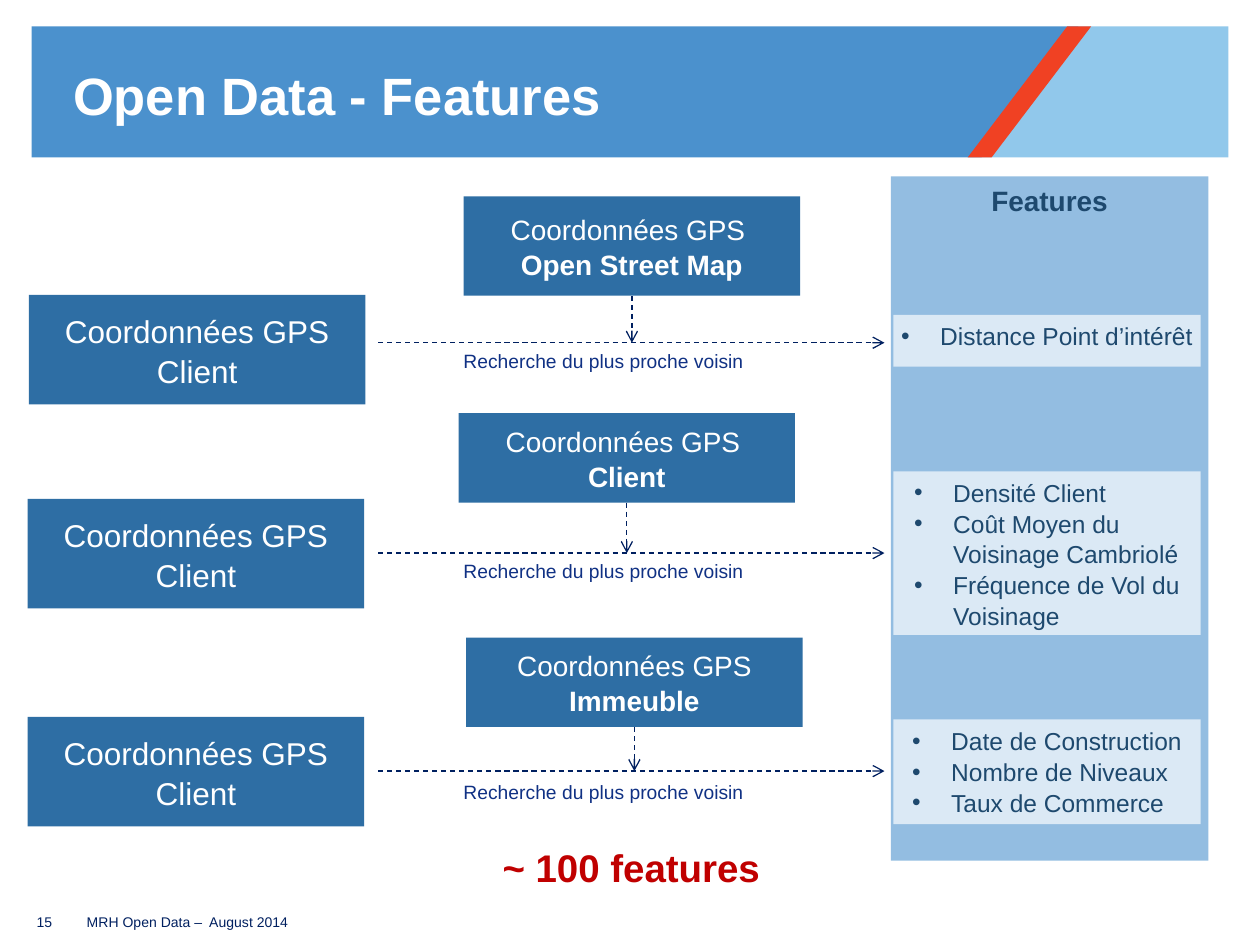
from dataclasses import dataclass

from lxml.etree import SubElement
from pptx import Presentation
from pptx.dml.color import RGBColor
from pptx.enum.dml import MSO_LINE
from pptx.enum.shapes import MSO_CONNECTOR as Connector, MSO_SHAPE as Shape
from pptx.enum.text import MSO_ANCHOR as Anchor, MSO_AUTO_SIZE as AutoSize, PP_ALIGN as Align
from pptx.oxml.ns import qn
from pptx.util import Inches, Pt

SLIDE_WIDTH, SLIDE_HEIGHT = Inches(10), Inches(7.5)
TITLE_ONLY = 5


@dataclass(frozen=True)
class Theme:
    font: str = "Arial"
    white: str = "FFFFFF"
    banner: str = "4B91CD"
    banner_tip: str = "91C8EB"
    stripe: str = "F04123"
    box: str = "2E6EA4"
    panel: str = "93BDE1"
    card: str = "DBE9F5"
    dark: str = "1E496E"
    navy: str = "002060"
    label: str = "103184"
    accent: str = "C00000"
    title_size: float = 30
    total_size: float = 22
    client_size: float = 18
    source_size: float = 16
    feature_size: float = 14
    label_size: float = 11
    footer_size: float = 8


@dataclass(frozen=True)
class Search:
    """One row of the diagram; lengths are percentages of the slide."""
    axis: float
    client: tuple
    source: tuple
    source_lines: list
    label_top: float
    card_top: float
    card_height: float
    features: list


THEME = Theme()
GPS = "Coordonnées GPS "
SEARCHES = [
    Search(36.27, (2.3, 31.2), (36.8, 20.8, 26.7, 10.5),
           [[(GPS, False)], [("Open Street Map", True)]],
           36.27, 33.33, 5.47, ["Distance Point d’intérêt"]),
    Search(58.53, (2.2, 52.8), (36.4, 43.73, 26.7, 9.47),
           [[(GPS, False)], [("Client", True)]],
           58.53, 49.87, 17.33,
           ["Densité Client", "Coût Moyen du Voisinage Cambriolé",
            "Fréquence de Vol du Voisinage"]),
    Search(81.6, (2.2, 75.87), (37, 67.47, 26.7, 9.47),
           [[(GPS, False), ("Immeuble", True)]],
           81.87, 76.13, 11.07,
           ["Date de Construction", "Nombre de Niveaux", "Taux de Commerce"]),
]


def across(share):
    return round(SLIDE_WIDTH * share / 100)


def down(share):
    return round(SLIDE_HEIGHT * share / 100)


def place(area):
    left, top, width, height = area
    return across(left), down(top), across(width), down(height)


def paint(shape, color):
    shape.shadow.inherit = False
    shape.fill.solid()
    shape.fill.fore_color.rgb = RGBColor.from_string(color)
    shape.line.fill.background()


def add_bullet(para):
    properties = para._p.get_or_add_pPr()
    properties.set("marL", str(Inches(0.31)))
    properties.set("indent", str(-Inches(0.31)))
    SubElement(properties, qn("a:buFont")).set("typeface", THEME.font)
    SubElement(properties, qn("a:buChar")).set("char", "•")


def write(frame, lines, size, color, align=Align.LEFT, bullets=False, spacing=None):
    """Fill a frame; each line is a list of (text, bold) runs."""
    frame.word_wrap = True
    for index, runs in enumerate(lines):
        para = frame.add_paragraph() if index else frame.paragraphs[0]
        para.alignment = align
        if spacing:
            para.line_spacing = spacing
        if bullets:
            add_bullet(para)
        for text, bold in runs:
            span = para.add_run()
            span.text = text
            span.font.name = THEME.font
            span.font.size = Pt(size)
            span.font.bold = bold
            span.font.color.rgb = RGBColor.from_string(color)


def set_insets(frame, inset):
    frame.margin_left = frame.margin_right = Inches(inset)
    frame.margin_top = frame.margin_bottom = Inches(inset)


def add_box(page, area, fill, lines, size, color, anchor=Anchor.MIDDLE,
            align=Align.CENTER, bullets=False):
    box = page.shapes.add_shape(Shape.RECTANGLE, *place(area))
    paint(box, fill)
    frame = box.text_frame
    set_insets(frame, 0.04)
    frame.vertical_anchor = anchor
    write(frame, lines, size, color, align, bullets, spacing=1.05)
    return box


def add_card(page, area, features):
    """Bullet list whose text block is centred as a whole."""
    lines = [[(feature, False)] for feature in features]
    card = add_box(page, area, THEME.card, lines, THEME.feature_size, THEME.dark,
                   Anchor.TOP, Align.LEFT, bullets=True)
    card.text_frame._txBody.bodyPr.set("anchorCtr", "1")


def add_label(page, area, text, size, color, bold=False, align=Align.LEFT, side=0.1):
    frame = page.shapes.add_textbox(*place(area)).text_frame
    frame.margin_left = frame.margin_right = Inches(side)
    write(frame, [[(text, bold)]], size, color, align)


def add_arrow(page, start, end):
    arrow = page.shapes.add_connector(
        Connector.STRAIGHT, across(start[0]), down(start[1]), across(end[0]), down(end[1]))
    arrow.line.color.rgb = RGBColor.from_string(THEME.navy)
    arrow.line.width = Pt(0.75)
    arrow.line.dash_style = MSO_LINE.DASH
    SubElement(arrow.line._get_or_add_ln(), qn("a:tailEnd")).set("type", "arrow")
    SubElement(arrow._element.spPr, qn("a:effectLst"))


def add_band(page, top_edge, bottom_edge, color):
    """Banner part between a left and a right x on its top and bottom edges."""
    top, bottom = down(2.8), down(16.67)
    points = [(across(top_edge[0]), top), (across(top_edge[1]), top),
              (across(bottom_edge[1]), bottom), (across(bottom_edge[0]), bottom)]
    builder = page.shapes.build_freeform(*points[0], scale=1.0)
    builder.add_line_segments(points[1:], close=True)
    paint(builder.convert_to_shape(), color)


def add_header(page, text):
    add_band(page, (2.5, 85.6), (2.5, 77.9), THEME.banner)
    add_band(page, (85.6, 97.5), (77.9, 97.5), THEME.banner_tip)
    add_band(page, (84.7, 86.6), (76.8, 78.7), THEME.stripe)
    # The banner must lie behind the title.
    title = page.shapes.title
    page.shapes._spTree.append(title._element)
    title.left, title.top, title.width, title.height = place((5.8, 3.33, 75.8, 13.33))
    frame = title.text_frame
    frame.auto_size = AutoSize.NONE
    frame.vertical_anchor = Anchor.MIDDLE
    set_insets(frame, 0)
    write(frame, [[(text, True)]], THEME.title_size, THEME.white)


def add_search(page, search):
    add_box(page, (*search.client, 26.7, 11.6), THEME.box,
            [[(GPS + "Client", False)]], THEME.client_size, THEME.white)
    add_box(page, search.source, THEME.box, search.source_lines,
            THEME.source_size, THEME.white)
    left, top, width, height = search.source
    middle = left + width / 2
    add_arrow(page, (30, search.axis), (70.2, search.axis))
    add_arrow(page, (middle, top + height), (middle, search.axis))
    add_label(page, (35.8, search.label_top, 29.1, 5.33),
              "Recherche du plus proche voisin", THEME.label_size, THEME.label)
    add_card(page, (70.9, search.card_top, 24.4, search.card_height), search.features)


def main():
    deck = Presentation()
    deck.slide_width, deck.slide_height = SLIDE_WIDTH, SLIDE_HEIGHT
    page = deck.slides.add_slide(deck.slide_layouts[TITLE_ONLY])
    add_header(page, "Open Data - Features")
    add_box(page, (70.7, 18.67, 25.2, 72.4), THEME.panel, [[("Features", True)]],
            THEME.source_size, THEME.dark, Anchor.TOP)
    for search in SEARCHES:
        add_search(page, search)
    add_label(page, (35.5, 88.67, 29.2, 6), "~ 100 features", THEME.total_size,
              THEME.accent, bold=True, align=Align.CENTER)
    add_label(page, (2.5, 96, 3.3, 3.2), "15", THEME.footer_size, THEME.navy, side=0.04)
    add_label(page, (5.9, 96, 31.6, 3.2), "MRH Open Data –  August 2014",
              THEME.footer_size, THEME.navy)
    deck.save("out.pptx")


if __name__ == "__main__":
    main()
